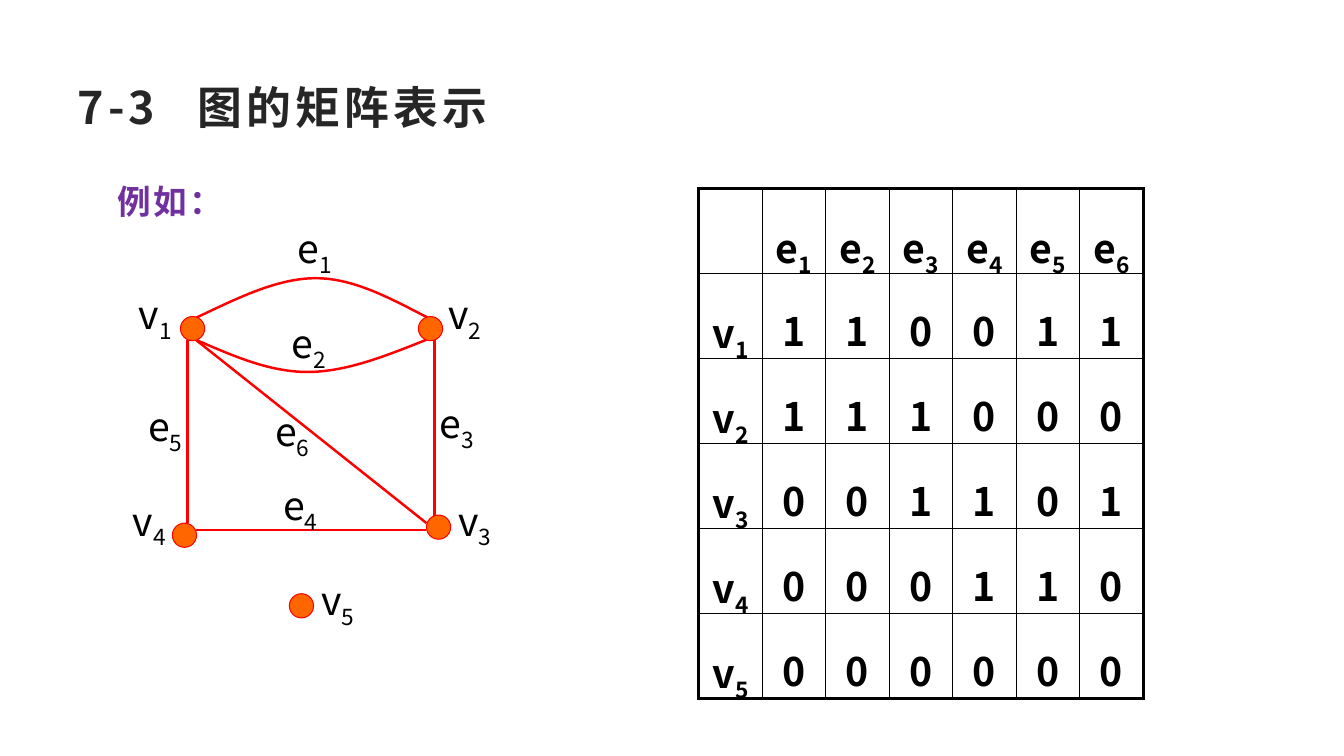
from typing import NamedTuple

from pptx import Presentation
from pptx.dml.color import RGBColor
from pptx.enum.shapes import MSO_CONNECTOR, MSO_SHAPE
from pptx.enum.text import MSO_ANCHOR, PP_ALIGN
from pptx.oxml.ns import qn
from pptx.util import Inches, Pt
from lxml.etree import SubElement

FONT = "Noto Sans CJK SC"
COLORS = {"title": "262626", "example": "7030A0", "ink": "000000",
          "node": "FF6600", "edge": "FF0000"}
UNIT = 0.1

NODES = {"v1": (7.1, 10.6), "v2": (30.7, 10.6), "v3": (31.5, 30.3),
         "v4": (6.3, 31.1), "v5": (17.9, 38.1)}
LABELS = {"v1": (3.4, 9.45), "v2": (34.1, 9.45), "v3": (35.1, 29.95),
          "v4": (2.8, 29.95), "v5": (21.5, 37.85),
          "e1": (19.2, 2.95), "e2": (18.6, 12.35), "e3": (33.3, 20.25),
          "e4": (17.8, 28.45), "e5": (4.4, 20.55), "e6": (17, 21.05)}
STRAIGHT_EDGES = {"e3": ((31.1, 11.7), (31.1, 29.9)),
                  "e4": ((7.4, 30.6), (30.3, 30.6)),
                  "e5": ((6.6, 11.7), (6.6, 29.9)),
                  "e6": ((7.4, 11.7), (30.3, 29.9))}
CURVED_EDGES = {
    "e1": [(7.5, 9.5), (11.5, 7.6), (15.5, 5.6), (19.3, 5.6),
           (23.1, 5.6), (26.7, 7.6), (30.4, 9.5)],
    "e2": [(7.4, 11.7), (11.1, 13.3), (14.7, 14.9), (18.5, 14.9),
           (22.3, 14.9), (26.3, 13.3), (30.3, 11.7)]}
INCIDENCE = {"v1": "110011", "v2": "111000", "v3": "001101",
             "v4": "000110", "v5": "000000"}


class Box(NamedTuple):
    """A region measured in grid columns and rows."""
    left: float
    top: float
    width: float
    height: float

    def at(self, column, row):
        """Return the slide position of a grid point in the region."""
        return (Inches((self.left + column) * UNIT),
                Inches((self.top + row) * UNIT))

    def frame(self):
        """Return left, top, width and height as slide lengths."""
        return (*self.at(0, 0), Inches(self.width * UNIT), Inches(self.height * UNIT))

    def around(self, center, width, height):
        """Return a smaller region centred on a grid point."""
        return Box(self.left + center[0] - width / 2,
                   self.top + center[1] - height / 2, width, height)


def color(name):
    """Look up a named colour."""
    return RGBColor.from_string(COLORS[name])


def style(span, size, ink, bold=False, spacing=0):
    """Format one run."""
    span.font.size, span.font.bold, span.font.name = Pt(size), bold, FONT
    span.font.color.rgb = color(ink)
    properties = span.font._element
    SubElement(properties, qn("a:ea")).set("typeface", FONT)
    if spacing:
        properties.set("spc", str(int(spacing * 100)))


def write_symbol(para, symbol, bold=False):
    """Write a letter with its index lowered, or a single digit."""
    para.alignment = PP_ALIGN.CENTER
    for position, character in enumerate(symbol):
        span = para.add_run()
        span.text = character
        style(span, 28, "ink", bold)
        if position:
            span.font._element.set("baseline", "-25000")


def draw_heading(page, box, text, size, ink, spacing, line_spacing=1.0, tab=None):
    """Place a bold line of text in its box."""
    frame = page.shapes.add_textbox(*box.frame()).text_frame
    frame.word_wrap = True
    frame.vertical_anchor = MSO_ANCHOR.MIDDLE if tab else MSO_ANCHOR.TOP
    para = frame.paragraphs[0]
    para.text = text
    para.line_spacing = line_spacing
    if tab:
        stops = SubElement(para._p.get_or_add_pPr(), qn("a:tabLst"))
        stop = SubElement(stops, qn("a:tab"))
        stop.set("pos", str(Inches(tab)))
        stop.set("algn", "l")
    for span in para.runs:
        style(span, size, ink, True, spacing)


def draw_curve(page, box, points):
    """Draw a Bezier edge from its end and control points."""
    start, *rest = [box.at(*point) for point in points]
    builder = page.shapes.build_freeform(*start, scale=1.0)
    builder.add_line_segments(rest, close=False)
    curve = builder.convert_to_shape()
    curve.shadow.inherit = False
    curve.fill.background()
    curve.line.color.rgb, curve.line.width = color("edge"), Pt(1.75)
    outline = next(curve._element.iter(qn("a:path")))
    steps = outline.findall(qn("a:lnTo"))
    for first in range(0, len(steps), 3):
        bend = SubElement(outline, qn("a:cubicBezTo"))
        for step in steps[first:first + 3]:
            bend.append(step[0])
            outline.remove(step)


def draw_graph(page, box):
    """Draw the edges, nodes and labels of the graph."""
    for points in CURVED_EDGES.values():
        draw_curve(page, box, points)
    for start, end in STRAIGHT_EDGES.values():
        edge = page.shapes.add_connector(MSO_CONNECTOR.STRAIGHT, *box.at(*start), *box.at(*end))
        edge.line.color.rgb, edge.line.width = color("edge"), Pt(1.75)
        SubElement(edge._element.spPr, qn("a:effectLst"))
    for center in NODES.values():
        node = page.shapes.add_shape(MSO_SHAPE.OVAL, *box.around(center, 2.4, 2.4).frame())
        node.shadow.inherit = False
        node.fill.solid()
        node.fill.fore_color.rgb = color("node")
        node.line.color.rgb, node.line.width = color("edge"), Pt(0.75)
    for symbol, center in LABELS.items():
        label = page.shapes.add_textbox(*box.around(center, 5.7, 5.7).frame())
        label.text_frame.word_wrap = False
        label.text_frame.vertical_anchor = MSO_ANCHOR.MIDDLE
        write_symbol(label.text_frame.paragraphs[0], symbol)


def set_borders(cell, outer_sides):
    """Give a cell thin borders, and thick ones on the table's outside."""
    properties = cell._tc.get_or_add_tcPr()
    for side in "LRTB":
        border = SubElement(properties, qn(f"a:ln{side}"))
        border.set("w", str(Pt(2.25 if side in outer_sides else 1)))
        paint = SubElement(border, qn("a:solidFill"))
        SubElement(paint, qn("a:srgbClr")).set("val", COLORS["ink"])


def draw_matrix(page, box):
    """Draw the incidence matrix as a table."""
    lines = [["", *(f"e{index}" for index in range(1, 7))]]
    lines += [[node, *values] for node, values in INCIDENCE.items()]
    last_row, last_column = len(lines) - 1, len(lines[0]) - 1
    table = page.shapes.add_table(last_row + 1, last_column + 1, *box.frame()).table
    table.first_row = table.horz_banding = False
    for r, line in enumerate(lines):
        for c, symbol in enumerate(line):
            cell = table.cell(r, c)
            sides = {"L": c == 0, "R": c == last_column, "T": r == 0, "B": r == last_row}
            set_borders(cell, [side for side, outer in sides.items() if outer])
            cell.fill.background()
            para = cell.text_frame.paragraphs[0]
            para.line_spacing = 1.4
            write_symbol(para, symbol, bold=True)


def main():
    """Build the slide and save it."""
    deck = Presentation()
    deck.slide_width, deck.slide_height = Inches(13.33), Inches(7.5)
    page = deck.slides.add_slide(deck.slide_layouts[6])
    draw_heading(page, Box(6.7, 6.7, 120, 7.7), "7-3\t图的矩阵表示", 32, "title", 3, tab=1.19)
    draw_heading(page, Box(10.7, 15.5, 113.3, 7.8), "例如：", 24, "example", 1.5, 1.5)
    draw_graph(page, Box(12, 22, 38, 41))
    draw_matrix(page, Box(69.3, 18.7, 44.1, 36.6))
    deck.save("out.pptx")


if __name__ == "__main__":
    main()
